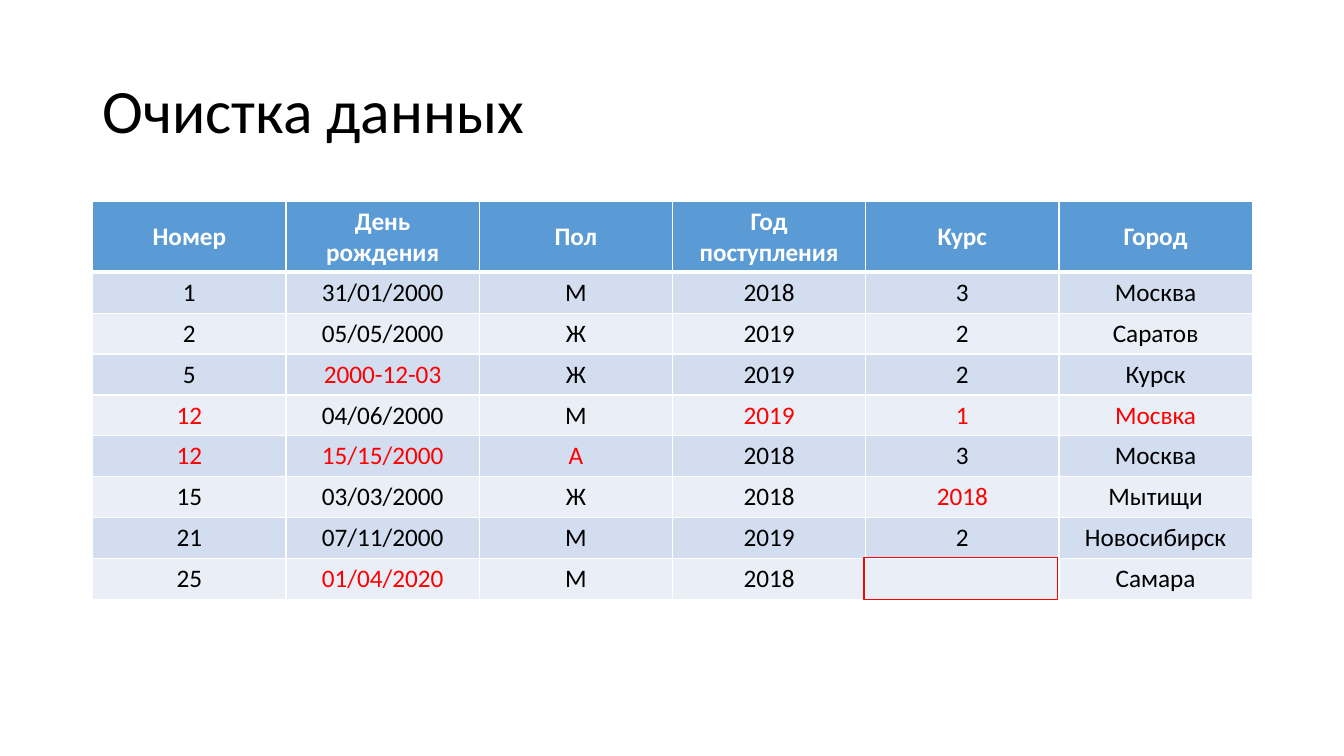
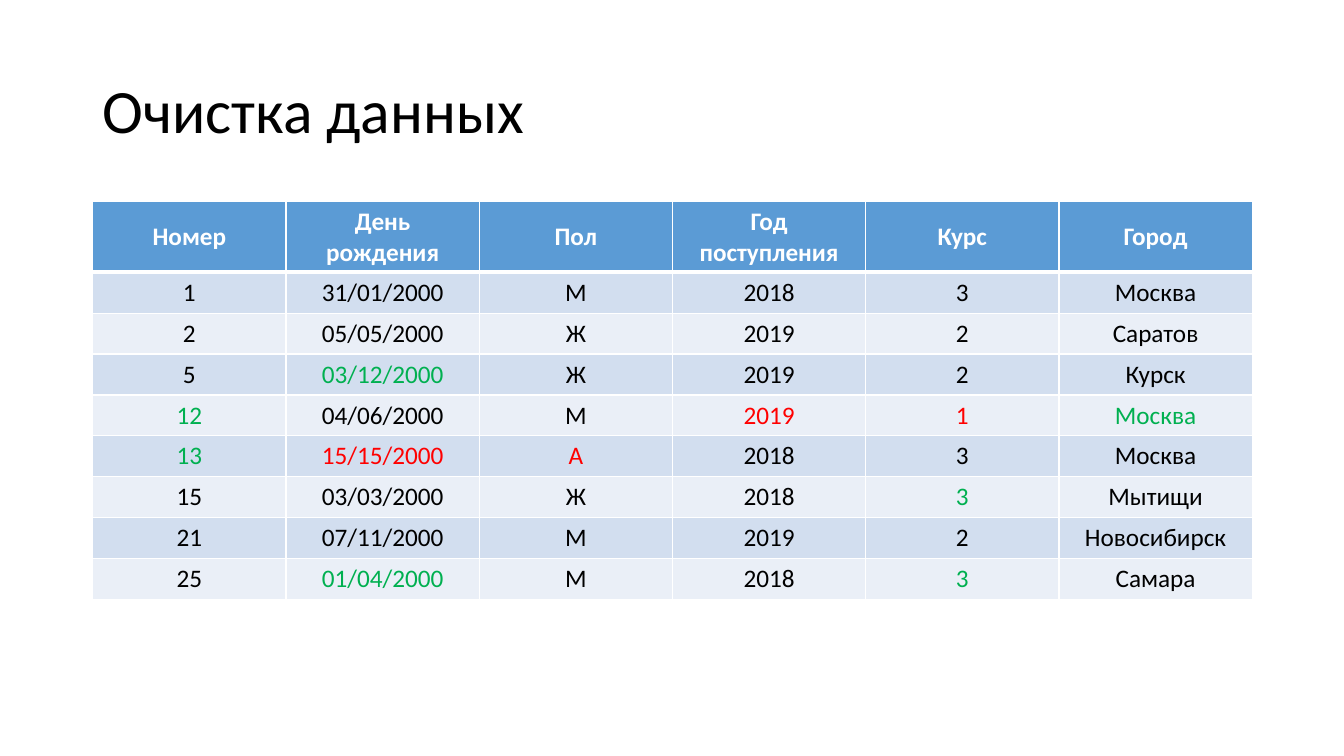
from dataclasses import dataclass

from lxml.etree import SubElement
from pptx import Presentation
from pptx.dml.color import RGBColor as Rgb
from pptx.enum.shapes import MSO_SHAPE as Preset
from pptx.enum.text import MSO_ANCHOR as Anchor, PP_ALIGN as Align
from pptx.oxml.ns import qn
from pptx.util import Inches, Pt


@dataclass(frozen=True)
class Theme:
    font: str = "Calibri"
    title_size: int = 44
    cell_size: int = 18
    thin_line: int = 1
    thick_line: int = 3
    text: str = "000000"
    light: str = "FFFFFF"
    header: str = "5B9BD5"
    bands: tuple = ("D2DEEF", "EAEFF7")
    error: str = "FF0000"
    fixed: str = "00B050"


THEME = Theme()

TITLE = "Очистка данных"
HEADINGS = ["Номер", "День рождения", "Пол", "Год поступления", "Курс", "Город"]
RAW_RECORDS = [
    ["1", "31/01/2000", "М", "2018", "3", "Москва"],
    ["2", "05/05/2000", "Ж", "2019", "2", "Саратов"],
    ["5", "2000-12-03", "Ж", "2019", "2", "Курск"],
    ["12", "04/06/2000", "М", "2019", "1", "Мосвка"],
    ["12", "15/15/2000", "А", "2018", "3", "Москва"],
    ["15", "03/03/2000", "Ж", "2018", "2018", "Мытищи"],
    ["21", "07/11/2000", "М", "2019", "2", "Новосибирск"],
    ["25", "01/04/2020", "М", "2018", "", "Самара"],
]

# Positions are (record, column)
UNRESOLVED = [(3, 3), (3, 4), (4, 1), (4, 2)]
FIXES = {
    (2, 1): "03/12/2000",
    (3, 0): "12",
    (3, 5): "Москва",
    (4, 0): "13",
    (5, 4): "3",
    (7, 1): "01/04/2000",
    (7, 4): "3",
}


def write_text(frame, text, size=THEME.cell_size, color=THEME.text, bold=False,
               align=Align.LEFT, spacing=None):
    para = frame.paragraphs[0]
    para.alignment = align
    para.line_spacing = spacing
    para.font.size = Pt(size)
    if text:
        span = para.add_run()
        span.text = text
        span.font.name = THEME.font
        span.font.size = Pt(size)
        span.font.bold = bold
        span.font.color.rgb = Rgb.from_string(color)


def set_borders(cell, color, **widths):
    """Draw the sides L, R, T and B; must run before the cell gets its fill."""
    properties = cell._tc.get_or_add_tcPr()
    for side in "LRTB":
        width = widths.get(side, THEME.thin_line)
        line = SubElement(properties, qn(f"a:ln{side}"), w=str(Pt(width)))
        fill = SubElement(line, qn("a:solidFill"))
        SubElement(fill, qn("a:srgbClr"), val=color)


class Slides:
    def __init__(self, theme):
        self.theme = theme
        self.deck = Presentation()
        self.deck.slide_width = Inches(13.33)
        self.deck.slide_height = Inches(7.5)
        self.page = None

    def add_page(self, title):
        self.page = self.deck.slides.add_slide(self.deck.slide_layouts[6])
        box = self.page.shapes.add_textbox(
            Inches(0.92), Inches(0.4), Inches(11.5), Inches(1.45))
        box.text_frame.word_wrap = True
        box.text_frame.vertical_anchor = Anchor.MIDDLE
        write_text(box.text_frame, title, size=self.theme.title_size, spacing=0.9)

    def add_records(self, headings, records, colors):
        """Draw a banded table; colors maps (record, column) to a text colour."""
        width, height, header_height = Inches(11.5), Inches(3.94), Inches(0.69)
        table = self.page.shapes.add_table(
            len(records) + 1, len(headings), Inches(0.92), Inches(2), width, height).table
        table.first_row = table.horz_banding = False
        for column in table.columns:
            column.width = width // len(headings)
        for row in table.rows:
            row.height = (height - header_height) // len(records)
        table.rows[0].height = header_height

        for col, heading in enumerate(headings):
            self.fill_cell(table.cell(0, col), heading, self.theme.header,
                           color=self.theme.light, bold=True, B=self.theme.thick_line)
        for index, record in enumerate(records):
            top = self.theme.thin_line if index else self.theme.thick_line
            for col, value in enumerate(record):
                self.fill_cell(table.cell(index + 1, col), value,
                               self.theme.bands[index % 2],
                               color=colors.get((index, col), self.theme.text), T=top)

    def fill_cell(self, cell, text, fill, color, bold=False, **widths):
        set_borders(cell, self.theme.light, **widths)
        cell.fill.solid()
        cell.fill.fore_color.rgb = Rgb.from_string(fill)
        cell.vertical_anchor = Anchor.MIDDLE
        write_text(cell.text_frame, text, color=color, bold=bold, align=Align.CENTER)

    def add_frame(self, left, top, width, height, color):
        frame = self.page.shapes.add_shape(
            Preset.RECTANGLE, Inches(left), Inches(top), Inches(width), Inches(height))
        frame.shadow.inherit = False
        frame.fill.background()
        frame.line.color.rgb = Rgb.from_string(color)
        frame.line.width = Pt(self.theme.thin_line)


def main():
    slides = Slides(THEME)
    unresolved = dict.fromkeys(UNRESOLVED, THEME.error)

    # Raw data: every error in red, the missing value framed
    slides.add_page(TITLE)
    slides.add_records(HEADINGS, RAW_RECORDS,
                       unresolved | dict.fromkeys(FIXES, THEME.error))
    slides.add_frame(8.57, 5.53, 1.92, 0.42, THEME.error)

    # Cleaned data: corrections in green, doubtful values still red
    cleaned = [[FIXES.get((index, col), value) for col, value in enumerate(record)]
               for index, record in enumerate(RAW_RECORDS)]
    slides.add_page(TITLE)
    slides.add_records(HEADINGS, cleaned,
                       unresolved | dict.fromkeys(FIXES, THEME.fixed))

    slides.deck.save("out.pptx")


if __name__ == "__main__":
    main()
